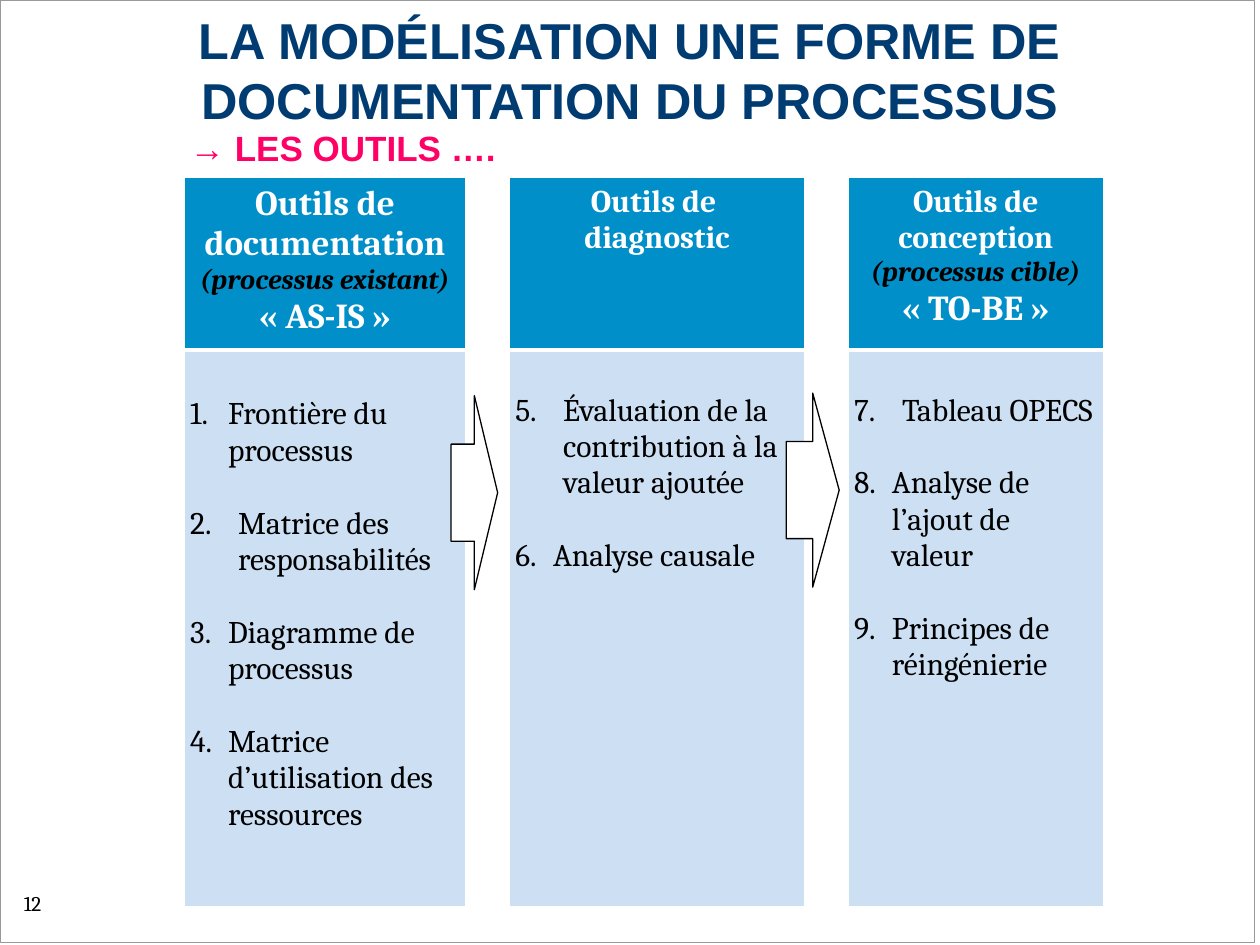
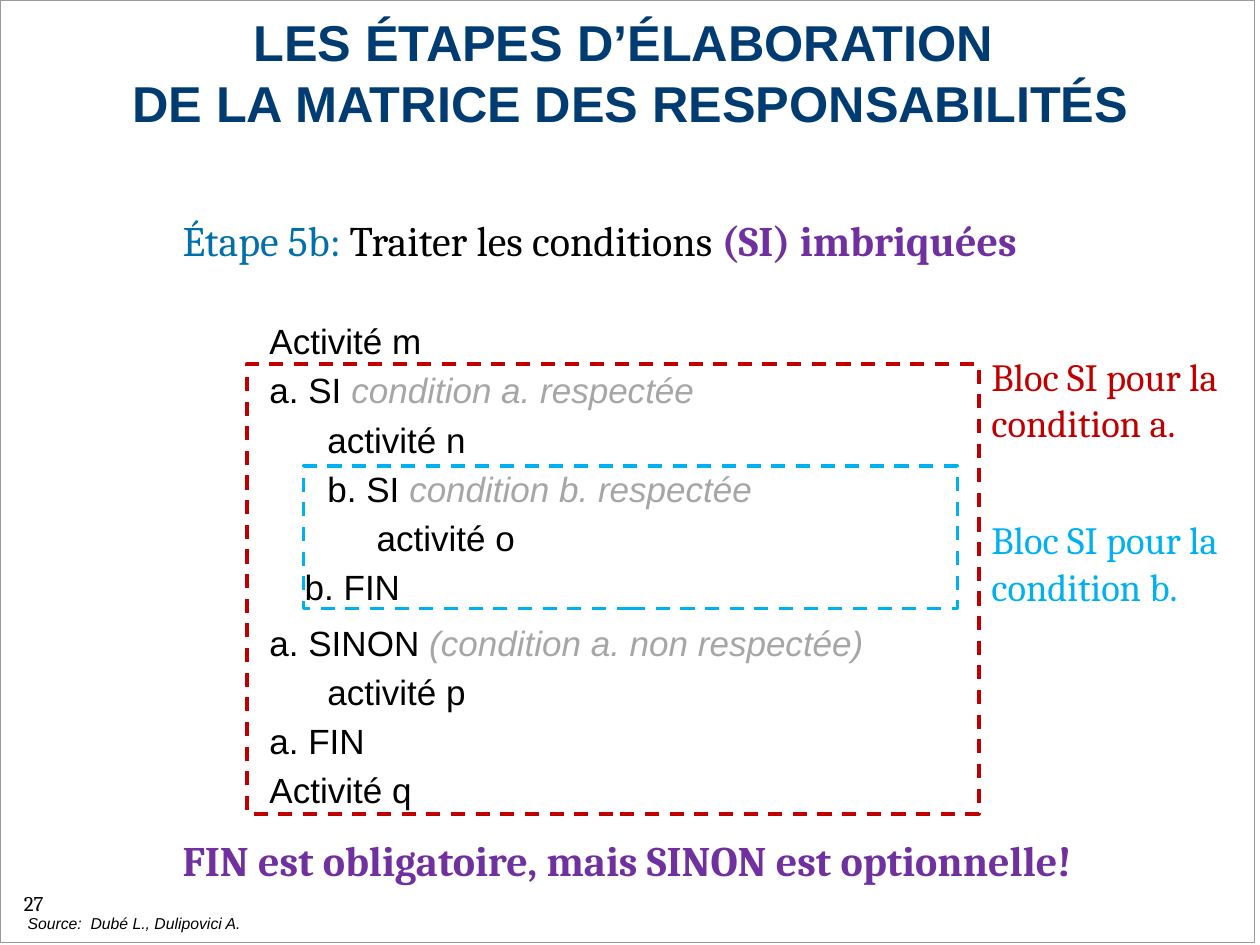
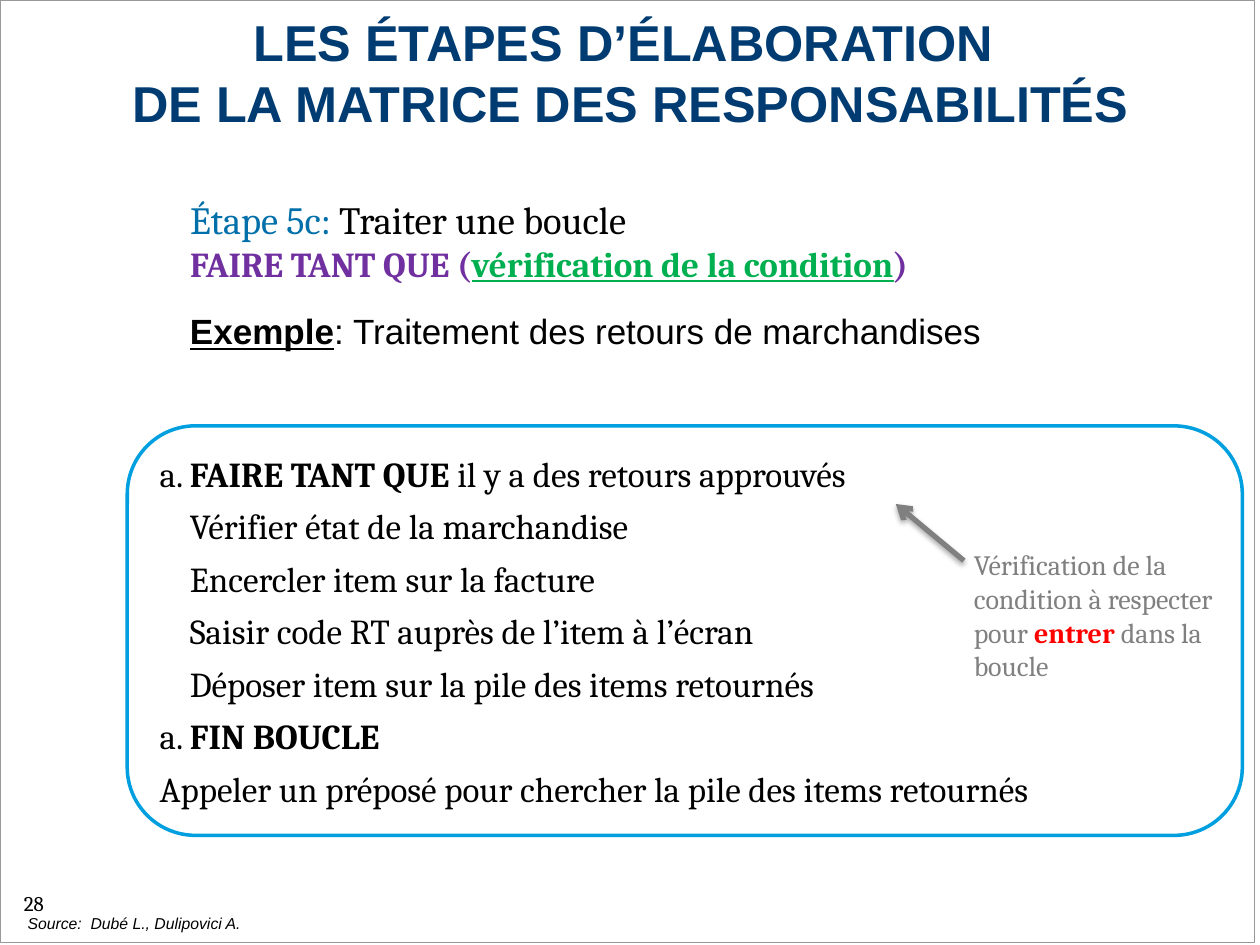
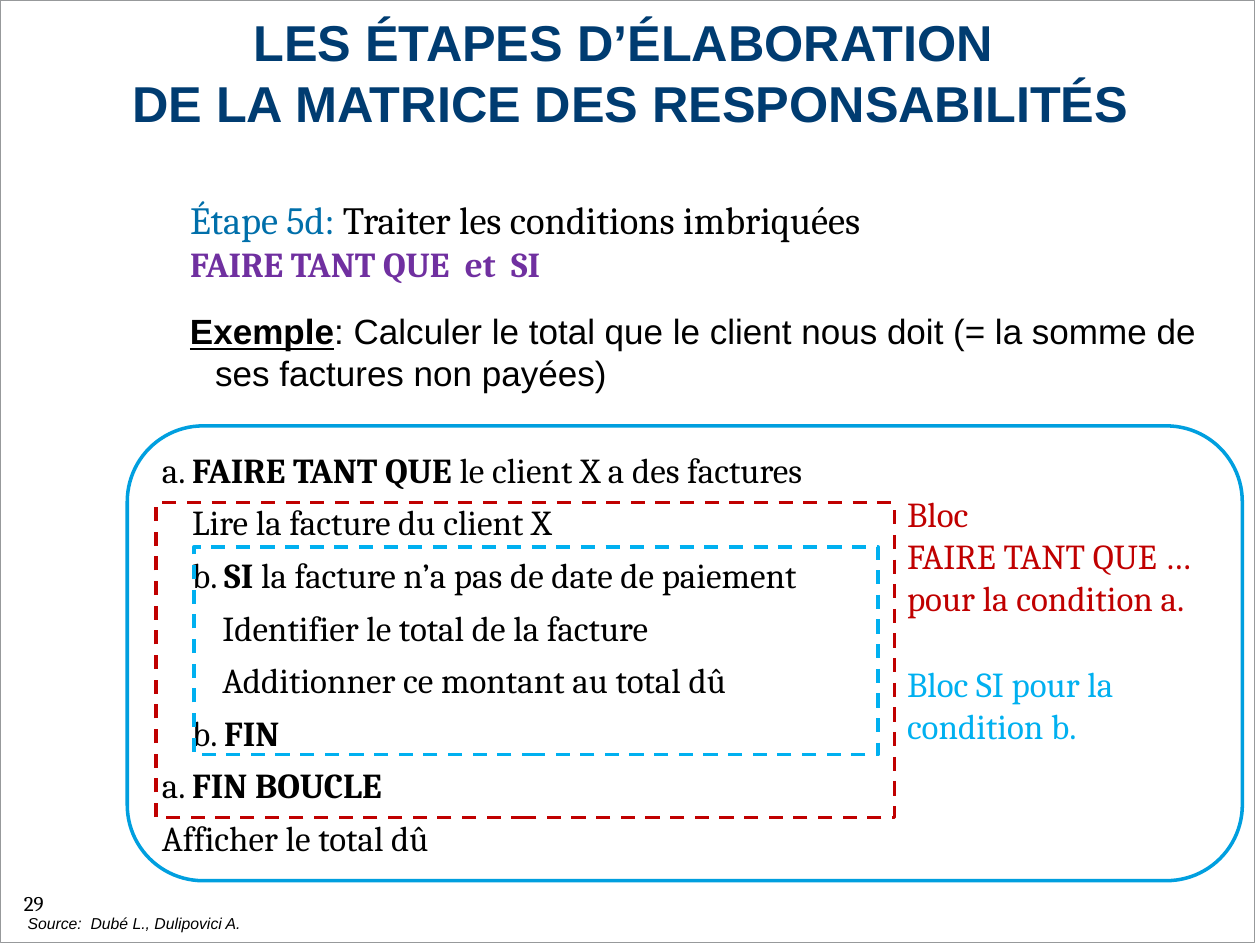
from dataclasses import dataclass

from lxml import etree
from pptx import Presentation
from pptx.dml.color import RGBColor
from pptx.enum import dml, shapes, text
from pptx.oxml import parse_xml
from pptx.oxml.ns import nsdecls, qn
from pptx.util import Inches, Pt


@dataclass(frozen=True)
class Theme:
    sans: str = "Arial"
    serif: str = "Cambria"
    title: float = 28.8
    step: int = 24
    block: int = 22
    body: int = 20
    item: int = 18
    note: int = 16
    number: int = 12
    source: int = 9
    black: str = "000000"
    white: str = "FFFFFF"
    navy: str = "003C71"
    blue: str = "006FAA"
    header: str = "008FC9"
    outline: str = "009FDF"
    pale: str = "CCDFF3"
    sky: str = "00B0F0"
    crimson: str = "C00000"
    red: str = "FF0000"
    pink: str = "FF0066"
    purple: str = "7030A0"
    green: str = "00B050"
    gray: str = "808080"
    light_gray: str = "A6A6A6"
    frame: str = "97999B"


THEME = Theme()
STEPS_TITLE = "LES ÉTAPES D’ÉLABORATION \vDE LA MATRICE DES RESPONSABILITÉS"
STEPS_TITLE_BOX = (0.28, 0.07, 9.45, 1)
HEADING_BOX = (1.41, 1.51, 8.65, 0.81)


@dataclass
class Run:
    text: str
    color: str = THEME.black
    size: float = THEME.body
    font: str = THEME.serif
    bold: bool = False
    italic: bool = False
    underline: bool = False


@dataclass
class Line:
    """A paragraph; lengths in inches, spacing in points."""
    runs: list
    indent: float = 0
    hang: float = 0
    before: float = 0
    after: float = 0
    centered: bool = False


def rgb(color):
    return RGBColor.from_string(color)


def inches(box):
    return [Inches(value) for value in box]


def write(text_frame, lines):
    for index, line in enumerate(lines):
        paragraph = text_frame.paragraphs[0] if index == 0 else text_frame.add_paragraph()
        paragraph.alignment = text.PP_ALIGN.CENTER if line.centered else text.PP_ALIGN.LEFT
        paragraph.space_before = Pt(line.before)
        paragraph.space_after = Pt(line.after)
        properties = paragraph._p.get_or_add_pPr()
        properties.set("marL", str(Inches(line.indent + line.hang)))
        properties.set("indent", str(-Inches(line.hang)))
        for part in line.runs:
            run = paragraph.add_run()
            run.text = part.text
            font = run.font
            font.name, font.size = part.font, Pt(part.size)
            font.bold, font.italic, font.underline = part.bold, part.italic, part.underline
            font.color.rgb = rgb(part.color)


def add_text(slide, box, lines, margin_y=0.05):
    shape = slide.shapes.add_textbox(*inches(box))
    frame = shape.text_frame
    frame.word_wrap = True
    frame.margin_top = frame.margin_bottom = Inches(margin_y)
    write(frame, lines)


def add_box(slide, box, line=None, width=2, fill=None, kind="RECTANGLE", dashed=False):
    shape = slide.shapes.add_shape(shapes.MSO_SHAPE[kind], *inches(box))
    shape.shadow.inherit = False
    if fill:
        shape.fill.solid()
        shape.fill.fore_color.rgb = rgb(fill)
    else:
        shape.fill.background()
    if line:
        shape.line.color.rgb = rgb(line)
        shape.line.width = Pt(width)
    else:
        shape.line.fill.background()
    if dashed:
        shape.line.dash_style = dml.MSO_LINE.DASH
    return shape


def start_slide(presentation, title, box, number, sourced=True):
    """Add a slide with its frame, title, number and source line."""
    slide = presentation.slides.add_slide(presentation.slide_layouts[5])
    add_box(slide, (0, 0, 9.96, 7.48), THEME.frame, 0.5)
    shape = slide.shapes.title
    shape.left, shape.top, shape.width, shape.height = inches(box)
    frame = shape.text_frame
    frame.text = title
    frame.word_wrap = True
    frame.auto_size = text.MSO_AUTO_SIZE.NONE
    frame.vertical_anchor = text.MSO_ANCHOR.MIDDLE
    frame.margin_top = frame.margin_bottom = 0
    paragraph = frame.paragraphs[0]
    paragraph.alignment = text.PP_ALIGN.CENTER
    for run in paragraph.runs:
        run.font.name, run.font.size, run.font.bold = THEME.sans, Pt(THEME.title), True
        run.font.color.rgb = rgb(THEME.navy)
    add_text(slide, (0.09, 7.02, 0.98, 0.35), [Line([Run(str(number), size=THEME.number)])])
    if sourced:
        add_text(slide, (0.12, 7.2, 2.45, 0.26), [Line([Run(
            "Source:  Dubé L., Dulipovici A.", size=THEME.source, font=THEME.sans, italic=True)])])
    return slide


def format_cell(cell, fill, bottom, top):
    properties = cell._tc.get_or_add_tcPr()
    for side, width in (("L", 1), ("R", 1), ("T", top), ("B", bottom)):
        properties.append(parse_xml(
            f'<a:ln{side} {nsdecls("a")} w="{Pt(width)}"><a:solidFill>'
            f'<a:srgbClr val="{THEME.white}"/></a:solidFill></a:ln{side}>'))
    cell.fill.solid()
    cell.fill.fore_color.rgb = rgb(fill)
    cell.margin_left = cell.margin_right = Inches(0.05)
    cell.margin_top = cell.margin_bottom = Inches(0.05)


def number_paragraphs(text_frame, start):
    for paragraph in text_frame.paragraphs:
        bullet = etree.SubElement(paragraph._p.get_or_add_pPr(), qn("a:buAutoNum"))
        bullet.set("type", "arabicPeriod")
        bullet.set("startAt", str(start))


def add_tools_table(slide, box, widths, columns):
    """Fill every second column with a heading and a numbered list."""
    table = slide.shapes.add_table(2, len(widths), *inches(box)).table
    for column, width in zip(table.columns, widths):
        column.width = Inches(width)
    header_height = 1.31
    table.rows[0].height = Inches(header_height)
    table.rows[1].height = Inches(box[3] - header_height)
    for index in range(len(widths)):
        filled = index % 2 == 0
        format_cell(table.cell(0, index), THEME.header if filled else THEME.white, 3, 1)
        format_cell(table.cell(1, index), THEME.pale if filled else THEME.white, 1, 3)
    start = 1
    for index, (heading, items, top) in enumerate(columns):
        header, body = table.cell(0, 2 * index), table.cell(1, 2 * index)
        write(header.text_frame, [Line(runs, centered=True) for runs in heading])
        body.margin_top = Inches(top)
        write(body.text_frame, [
            Line([Run(item, size=THEME.item)], hang=hang, before=20.8 if position else 0)
            for position, (item, hang) in enumerate(items)])
        number_paragraphs(body.text_frame, start)
        start += len(items)


def build_tools(presentation):
    slide = start_slide(presentation, "LA MODÉLISATION UNE FORME DE DOCUMENTATION DU PROCESSUS",
                        (0.04, 0.05, 9.92, 1), 12, sourced=False)

    def label(words, size=THEME.item):
        return Run(words, THEME.white, size, bold=True)

    def process(words):
        return Run(words, size=THEME.note, bold=True, italic=True)

    narrow, wide = 0.3, 0.38
    columns = [
        ([[label("Outils de documentation", THEME.body)], [process("(processus existant)")],
          [label("«\u00a0AS-IS\u00a0»", THEME.body)]],
         [("Frontière du processus", narrow), ("Matrice des responsabilités", wide),
          ("Diagramme de processus", narrow),
          ("Matrice d’utilisation des ressources", narrow)], 0.37),
        ([[label("Outils de ")], [label("diagnostic")]],
         [("Évaluation de la contribution à la valeur ajoutée", wide),
          ("Analyse causale", narrow)], 0.34),
        ([[label("Outils de conception "), process("(processus cible)")],
          [label("«\u00a0TO-BE\u00a0»", THEME.body)]],
         [("Tableau OPECS", wide), ("Analyse de l’ajout de valeur", narrow),
          ("Principes de réingénierie", narrow)], 0.34),
    ]
    add_tools_table(slide, (1.46, 1.41, 7.3, 5.73), (2.24, 0.34, 2.35, 0.34, 2.03), columns)
    for box in ((3.58, 3.14, 0.37, 1.54), (6.24, 3.12, 0.42, 1.54)):
        add_box(slide, box, THEME.black, 0.75, THEME.white, "RIGHT_ARROW")
    add_text(slide, (1.41, 1, 3.83, 0.39), [Line([Run(
        "→ LES OUTILS ….", THEME.pink, font=THEME.sans, bold=True)])], margin_y=0)


def add_block(slide, box, color, label_box, labels, size):
    """Outline a nested block with dashes and name it beside."""
    add_box(slide, box, color, dashed=True)
    add_text(slide, label_box, [Line([Run(label, color, size)]) for label in labels])


def build_nested_conditions(presentation):
    slide = start_slide(presentation, STEPS_TITLE, STEPS_TITLE_BOX, 27)
    steps = [
        (0, "Activité m", ""),
        (0, "a. SI ", "condition a. respectée"),
        (0.46, "activité n", ""),
        (0.46, "b. SI ", "condition b. respectée"),
        (0.85, "activité o", ""),
        (0.28, "b. FIN", ""),
        (0, "a. SINON ", "(condition a. non respectée)"),
        (0.46, "activité p", ""),
        (0, "a. FIN", ""),
        (0, "Activité q", ""),
    ]
    lines = []
    for indent, action, condition in steps:
        runs = [Run(action, font=THEME.sans)]
        if condition:
            runs.append(Run(condition, THEME.light_gray, font=THEME.sans, italic=True))
        lines.append(Line(runs, indent, before=6 if "SINON" in action else 2, after=2))
    add_text(slide, (2.04, 2.49, 5.59, 4.53), lines)
    add_block(slide, (1.96, 2.89, 5.81, 3.57), THEME.crimson, (7.77, 2.75, 2.12, 0.84),
              ["Bloc SI pour la condition a."], THEME.block)
    add_block(slide, (2.41, 3.7, 5.19, 1.13), THEME.sky, (7.77, 4.05, 2.12, 0.84),
              ["Bloc SI pour la condition b."], THEME.block)
    add_text(slide, (1.35, 1.65, 8.38, 0.5), [Line([
        Run("Étape 5b: ", THEME.blue, THEME.step),
        Run("Traiter les conditions ", size=THEME.step),
        Run("(SI) imbriquées", THEME.purple, THEME.step, bold=True)])])
    reminder = add_box(slide, (1.35, 6.57, 7.82, 0.5), fill=THEME.white)
    write(reminder.text_frame, [Line([Run(
        "FIN est obligatoire, mais SINON est optionnelle!", THEME.purple, THEME.step, bold=True)])])


def add_step_heading(slide, step, subject, keywords, example, example_height):
    add_text(slide, HEADING_BOX, [
        Line([Run(step, THEME.blue, THEME.block), Run(subject, size=THEME.block)]),
        Line(keywords)])
    add_text(slide, (1.41, 2.41, 8.2, example_height), [Line([
        Run("Exemple", font=THEME.sans, bold=True, underline=True),
        Run(example, font=THEME.sans)], hang=0.2, before=3)])


def add_pseudocode(slide, height, steps):
    """Write steps of (level, plain, bold, plain) in a rounded panel."""
    panel = add_box(slide, (1.01, 3.38, 8.85, height), THEME.outline, 2,
                    THEME.white, "ROUNDED_RECTANGLE")
    lines = []
    for level, *parts in steps:
        runs = [Run(part, bold=position == 1) for position, part in enumerate(parts) if part]
        lines.append(Line(runs, 0.24 * level, before=3, after=3))
    panel.text_frame.vertical_anchor = text.MSO_ANCHOR.MIDDLE
    write(panel.text_frame, lines)


def add_shadowed_arrow(slide, start, end):
    arrow = slide.shapes.add_connector(
        shapes.MSO_CONNECTOR.STRAIGHT, *inches(start), *inches(end))
    arrow.line.color.rgb = rgb(THEME.gray)
    arrow.line.width = Pt(3)
    etree.SubElement(arrow.line._get_or_add_ln(), qn("a:tailEnd")).set("type", "arrow")
    arrow._element.spPr.append(parse_xml(
        f'<a:effectLst {nsdecls("a")}><a:outerShdw blurRad="{Pt(3.1)}" dist="{Pt(1.8)}" '
        f'dir="5400000" rotWithShape="0"><a:srgbClr val="{THEME.black}">'
        '<a:alpha val="35000"/></a:srgbClr></a:outerShdw></a:effectLst>'))


def build_loop(presentation):
    slide = start_slide(presentation, STEPS_TITLE, STEPS_TITLE_BOX, 28)
    add_pseudocode(slide, 3.25, [
        (0, "a. ", "FAIRE TANT QUE ", "il y a des retours approuvés"),
        (1, "Vérifier état de la marchandise"),
        (1, "Encercler item sur la facture"),
        (1, "Saisir code RT auprès de l’item à l’écran"),
        (1, "Déposer item sur la pile des items retournés"),
        (0, "a. ", "FIN BOUCLE"),
        (0, "Appeler un préposé pour chercher la pile des items retournés"),
    ])
    add_step_heading(slide, "Étape 5c: ", "Traiter une boucle", [
        Run("FAIRE TANT QUE (", THEME.purple, bold=True),
        Run("vérification de la condition", THEME.green, bold=True, underline=True),
        Run(")", THEME.purple, bold=True),
    ], ": Traitement des retours de marchandises", 0.55)
    add_text(slide, (7.63, 4.3, 2.51, 1.18), [
        Line([Run("Vérification de la condition à respecter", THEME.gray, THEME.note)]),
        Line([Run("pour ", THEME.gray, THEME.note),
              Run("entrer ", THEME.red, THEME.note, bold=True),
              Run("dans la boucle", THEME.gray, THEME.note)])])
    add_shadowed_arrow(slide, (7.65, 4.45), (7.11, 4))


def build_loop_with_condition(presentation):
    slide = start_slide(presentation, STEPS_TITLE, STEPS_TITLE_BOX, 29)
    add_pseudocode(slide, 3.61, [
        (0, "a. ", "FAIRE TANT QUE ", "le client X a des factures"),
        (1, "Lire la facture du client X"),
        (1, "b. ", "SI", " la facture n’a pas de date de paiement"),
        (2, "Identifier le total de la facture"),
        (2, "Additionner ce montant au total dû"),
        (1, "b. ", "FIN"),
        (0, "a. ", "FIN BOUCLE"),
        (0, "Afficher le total dû"),
    ])
    add_step_heading(slide, "Étape 5d: ", "Traiter les conditions imbriquées",
                     [Run("FAIRE TANT QUE  et  SI", THEME.purple, bold=True)],
                     ": Calculer le total que le client nous doit "
                     "(= la somme de ses factures non payées)", 0.72)
    add_block(slide, (1.24, 3.99, 5.86, 2.5), THEME.crimson, (7.1, 3.86, 2.89, 1.11),
              ["Bloc", "FAIRE TANT QUE …", "pour la condition a."], THEME.body)
    add_block(slide, (1.54, 4.34, 5.43, 1.65), THEME.sky, (7.1, 5.21, 2.01, 0.77),
              ["Bloc SI pour la condition b."], THEME.body)


def main():
    presentation = Presentation()
    presentation.slide_width, presentation.slide_height = Inches(10), Inches(7.5)
    build_tools(presentation)
    build_nested_conditions(presentation)
    build_loop(presentation)
    build_loop_with_condition(presentation)
    presentation.save("out.pptx")


if __name__ == "__main__":
    main()
